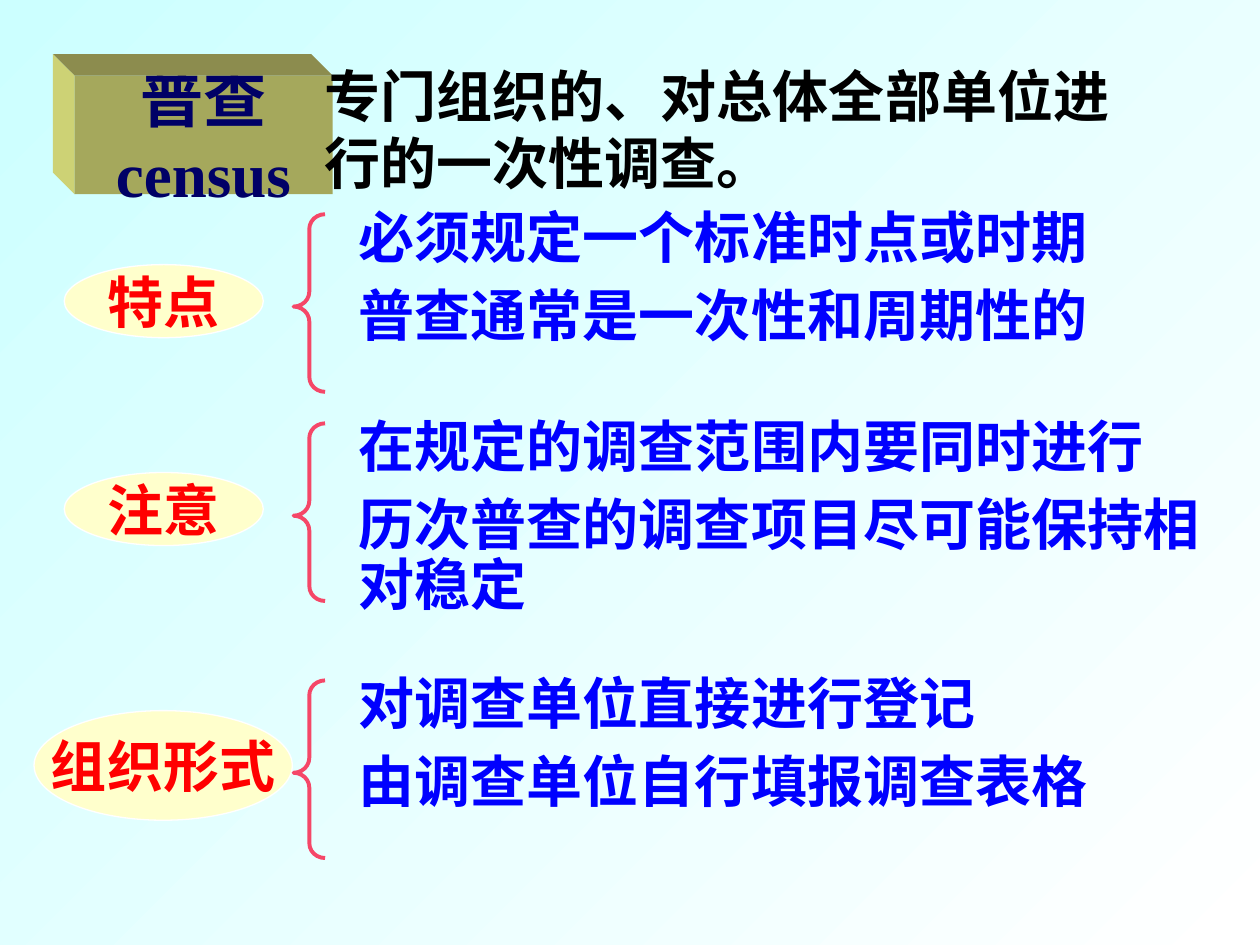
from pptx import Presentation
from pptx.dml.color import RGBColor
from pptx.enum import shapes, text
from pptx.util import Inches, Pt

FONT = "Times New Roman"
HEADING = ["普查", "census"]
DEFINITION = "专门组织的、对总体全部单位进行的一次性调查。"
SECTIONS = [
    {"label": "特点", "oval": (0.51, 2.1, 1.58, 0.58), "top": 1.62, "height": 1.22,
     "items": ["必须规定一个标准时点或时期", "普查通常是一次性和周期性的"]},
    {"label": "注意", "oval": (0.51, 3.75, 1.58, 0.58), "top": 3.28, "height": 1.7,
     "items": ["在规定的调查范围内要同时进行", "历次普查的调查项目尽可能保持相对稳定"]},
    {"label": "组织形式", "oval": (0.27, 5.64, 2.05, 0.87), "top": 5.32, "height": 1.22,
     "items": ["对调查单位直接进行登记", "由调查单位自行填报调查表格"]},
]
BOX_LEFT, BOX_TOP, BOX_WIDTH, BOX_HEIGHT, DEPTH = 0.59, 0.6, 2.05, 0.94, 0.17


def color(value):
    return RGBColor.from_string(value)


def paint(shape, fill):
    shape.shadow.inherit = False
    shape.fill.solid()
    shape.fill.fore_color.rgb = color(fill)
    shape.line.fill.background()


def outline(shape, line, width):
    shape.line.color.rgb = color(line)
    shape.line.width = Pt(width)


def write(shape, lines, size, font_color, centered=False, spacing=None, gap=0):
    frame = shape.text_frame
    frame.text = "\n".join(lines)
    frame.auto_size = text.MSO_AUTO_SIZE.NONE
    frame.word_wrap = not centered
    frame.vertical_anchor = text.MSO_ANCHOR.MIDDLE if centered else text.MSO_ANCHOR.TOP
    for index, paragraph in enumerate(frame.paragraphs):
        paragraph.alignment = text.PP_ALIGN.CENTER if centered else text.PP_ALIGN.LEFT
        paragraph.line_spacing = spacing
        paragraph.space_before = Pt(gap if index else 0)
        for run in paragraph.runs:
            run.font.name = FONT
            run.font.size = Pt(size)
            run.font.bold = True
            run.font.color.rgb = color(font_color)


def add_face(slide, points, fill):
    corners = [(Inches(x), Inches(y)) for x, y in points]
    builder = slide.shapes.build_freeform(*corners[0])
    builder.add_line_segments(corners[1:], close=True)
    paint(builder.convert_to_shape(), fill)


def add_heading(slide):
    right, bottom = BOX_LEFT + BOX_WIDTH, BOX_TOP + BOX_HEIGHT
    back_left, back_top = BOX_LEFT - DEPTH, BOX_TOP - DEPTH
    shared_edge = [(BOX_LEFT, BOX_TOP), (back_left, back_top)]
    add_face(slide, shared_edge + [(right - DEPTH, back_top), (right, BOX_TOP)], "8C8C4E")
    add_face(slide, shared_edge + [(back_left, bottom - DEPTH), (BOX_LEFT, bottom)], "CDD275")
    title = slide.shapes.title
    title.left, title.top = Inches(BOX_LEFT), Inches(BOX_TOP)
    title.width, title.height = Inches(BOX_WIDTH), Inches(BOX_HEIGHT)
    title.fill.solid()
    title.fill.fore_color.rgb = color("A5A85C")
    write(title, HEADING, 36, "000066", centered=True)


def add_section(slide, section):
    oval = slide.shapes.add_shape(shapes.MSO_SHAPE.OVAL, *map(Inches, section["oval"]))
    paint(oval, "FFFFCC")
    outline(oval, "FFFFFF", 0.75)
    write(oval, [section["label"]], 32, "FF0000", centered=True)

    top = section["top"]
    items = slide.shapes.add_textbox(
        Inches(2.75), Inches(top), Inches(7.25), Inches(section["height"]))
    write(items, section["items"], 32, "0000FF", spacing=0.9, gap=9.6)

    brace = slide.shapes.add_shape(
        shapes.MSO_SHAPE.LEFT_BRACE, Inches(2.33), Inches(top + 0.08), Inches(0.25), Inches(1.41))
    brace.shadow.inherit = False
    brace.fill.background()
    outline(brace, "F54768", 2.25)
    brace.adjustments[0], brace.adjustments[1] = 0.47, 0.52


def main():
    presentation = Presentation()
    presentation.slide_width, presentation.slide_height = Inches(10), Inches(7.5)
    slide = presentation.slides.add_slide(presentation.slide_layouts.get_by_name("Title Only"))

    background = slide.background.fill
    background.gradient()
    background.gradient_angle = 315
    for stop, value in zip(background.gradient_stops, ["CCFFFF", "FFFFFF"]):
        stop.color.rgb = color(value)

    add_heading(slide)
    definition = slide.shapes.add_textbox(Inches(2.48), Inches(0.44), Inches(6.67), Inches(1.17))
    write(definition, [DEFINITION], 32, "000000")
    for section in SECTIONS:
        add_section(slide, section)
    presentation.save("out.pptx")


if __name__ == "__main__":
    main()
